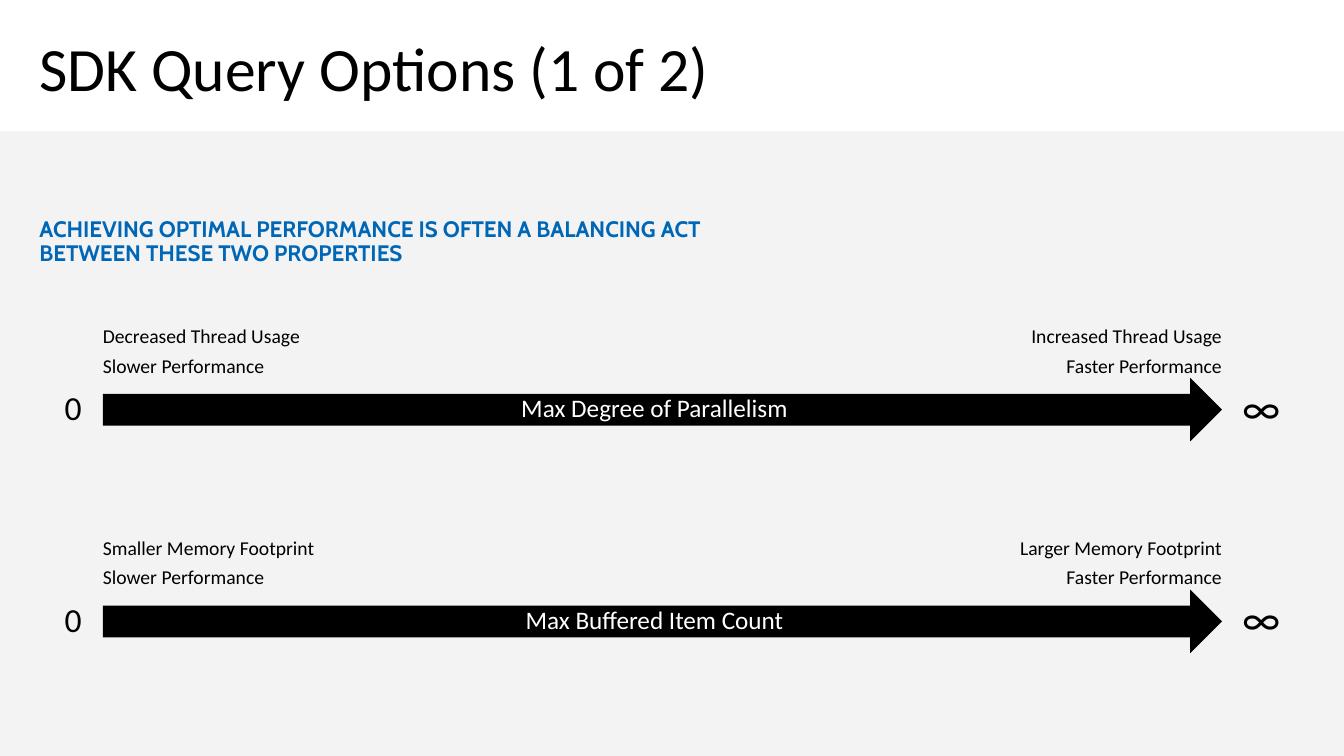
"""Build a slide that sets two query options on scales from zero to infinity."""
from lxml import etree
from pptx import Presentation
from pptx.dml.color import RGBColor
from pptx.enum.shapes import MSO_SHAPE
from pptx.enum.text import MSO_ANCHOR, MSO_AUTO_SIZE, PP_ALIGN
from pptx.oxml.ns import qn
from pptx.util import Inches, Pt

LEFT, CENTER, RIGHT = PP_ALIGN.LEFT, PP_ALIGN.CENTER, PP_ALIGN.RIGHT
TOP, MIDDLE = MSO_ANCHOR.TOP, MSO_ANCHOR.MIDDLE
NO_FIT, GROW = MSO_AUTO_SIZE.NONE, MSO_AUTO_SIZE.SHAPE_TO_FIT_TEXT
RECTANGLE, RIGHT_ARROW = MSO_SHAPE.RECTANGLE, MSO_SHAPE.RIGHT_ARROW

TITLE = "SDK Query Options (1 of 2)"
SUBTITLE = "ACHIEVING OPTIMAL PERFORMANCE IS OFTEN A BALANCING ACT BETWEEN THESE TWO PROPERTIES"
SCALES = [
    ("Max Degree of Parallelism",
     "Decreased Thread Usage\nSlower Performance",
     "Increased Thread Usage\nFaster Performance"),
    ("Max Buffered Item Count",
     "Smaller Memory Footprint\nSlower Performance",
     "Larger Memory Footprint\nFaster Performance"),
]
BLACK, WHITE, BLUE, GRAY = "000000", "FFFFFF", "0067B7", "F2F2F2"
WIDTH, HEIGHT = 13.33, 7.5
MARGIN, PANEL_TOP = 0.29, 1.3
ARROW_LEFT, ARROW_WIDTH, ARROW_HEIGHT = 1.02, 11.1, 0.63
FIRST_ARROW_TOP, SCALE_PITCH = 3.75, 2.1
NOTE_WIDTH, NOTE_HEIGHT = 2.94, 0.51
END_GAP = 0.2


def place(shape, left, top, width, height):
    """Set a shape's box in inches."""
    shape.left, shape.top = Inches(left), Inches(top)
    shape.width, shape.height = Inches(width), Inches(height)


def paint(shape, color):
    """Fill a shape with a plain colour, without outline or shadow."""
    shape.shadow.inherit = False
    shape.fill.solid()
    shape.fill.fore_color.rgb = RGBColor.from_string(color)
    shape.line.fill.background()


def write(shape, text, size, color=BLACK, font="Calibri", bold=False,
          align=LEFT, anchor=TOP, inset=0, after=0, wrap=True, fit=NO_FIT):
    """Put formatted text into a shape."""
    frame = shape.text_frame
    frame.text = text
    frame.word_wrap, frame.auto_size, frame.vertical_anchor = wrap, fit, anchor
    frame.margin_left = frame.margin_right = Inches(inset)
    frame.margin_top = frame.margin_bottom = Inches(inset / 2)
    for paragraph in frame.paragraphs:
        paragraph.alignment, paragraph.line_spacing = align, 0.9
        paragraph.space_before, paragraph.space_after = Pt(0), Pt(after)
        for run in paragraph.runs:
            run.font.name, run.font.size, run.font.bold = font, Pt(size), bold
            run.font.color.rgb = RGBColor.from_string(color)


def add_panel(slide):
    """Lay the translucent gray panel behind everything else."""
    panel = slide.shapes.add_shape(RECTANGLE, 0, 0, 0, 0)
    place(panel, 0, PANEL_TOP, WIDTH, HEIGHT - PANEL_TOP)
    paint(panel, GRAY)
    color = panel.fill._xPr.find(qn("a:solidFill"))[0]
    etree.SubElement(color, qn("a:alpha"), val="89000")
    slide.shapes._spTree.insert(2, panel._element)


def add_headings(slide):
    """Fill the title and body placeholders."""
    title, body = slide.shapes.title, slide.placeholders[1]
    place(title, MARGIN, 0.32, 7.34, 0.78)
    write(title, TITLE, 44, anchor=MIDDLE, inset=0.1)
    place(body, MARGIN, 2.11, 7.69, 0.64)
    write(body, SUBTITLE, 16, BLUE, "Cabin", True, inset=0.1)
    properties = body.text_frame.paragraphs[0]._p.get_or_add_pPr()
    properties.set("marL", "0")
    properties.set("indent", "0")
    etree.SubElement(properties, qn("a:buNone"))


def add_scale(slide, top, name, low_note, high_note):
    """Draw one arrow with its end values and the notes above its ends."""
    group = slide.shapes.add_group_shape()
    arrow_right = ARROW_LEFT + ARROW_WIDTH
    middle = top + ARROW_HEIGHT / 2
    arrow = group.shapes.add_shape(RIGHT_ARROW, 0, 0, 0, 0)
    place(arrow, ARROW_LEFT, top, ARROW_WIDTH, ARROW_HEIGHT)
    paint(arrow, BLACK)
    write(arrow, name, 18, WHITE, align=CENTER, anchor=MIDDLE)
    ends = [
        ("0", 24, ARROW_LEFT - END_GAP - 0.18, 0.18, 0.36),
        ("∞", 32, arrow_right + END_GAP, 0.37, 0.48),
    ]
    for text, size, left, width, height in ends:
        label = group.shapes.add_textbox(0, 0, 0, 0)
        place(label, left, middle - height / 2, width, height)
        write(label, text, size, after=6, wrap=False, fit=GROW)
    notes = [
        (low_note, ARROW_LEFT, LEFT),
        (high_note, arrow_right - NOTE_WIDTH, RIGHT),
    ]
    for text, left, align in notes:
        note = group.shapes.add_textbox(0, 0, 0, 0)
        place(note, left, top - NOTE_HEIGHT, NOTE_WIDTH, NOTE_HEIGHT)
        write(note, text, 14, align=align, after=6, fit=GROW)


def main():
    """Build and save the slide."""
    presentation = Presentation()
    presentation.slide_width = Inches(WIDTH)
    presentation.slide_height = Inches(HEIGHT)
    slide = presentation.slides.add_slide(presentation.slide_layouts[1])
    add_panel(slide)
    add_headings(slide)
    for row, scale in enumerate(SCALES):
        add_scale(slide, FIRST_ARROW_TOP + row * SCALE_PITCH, *scale)
    presentation.save("out.pptx")


if __name__ == "__main__":
    main()
